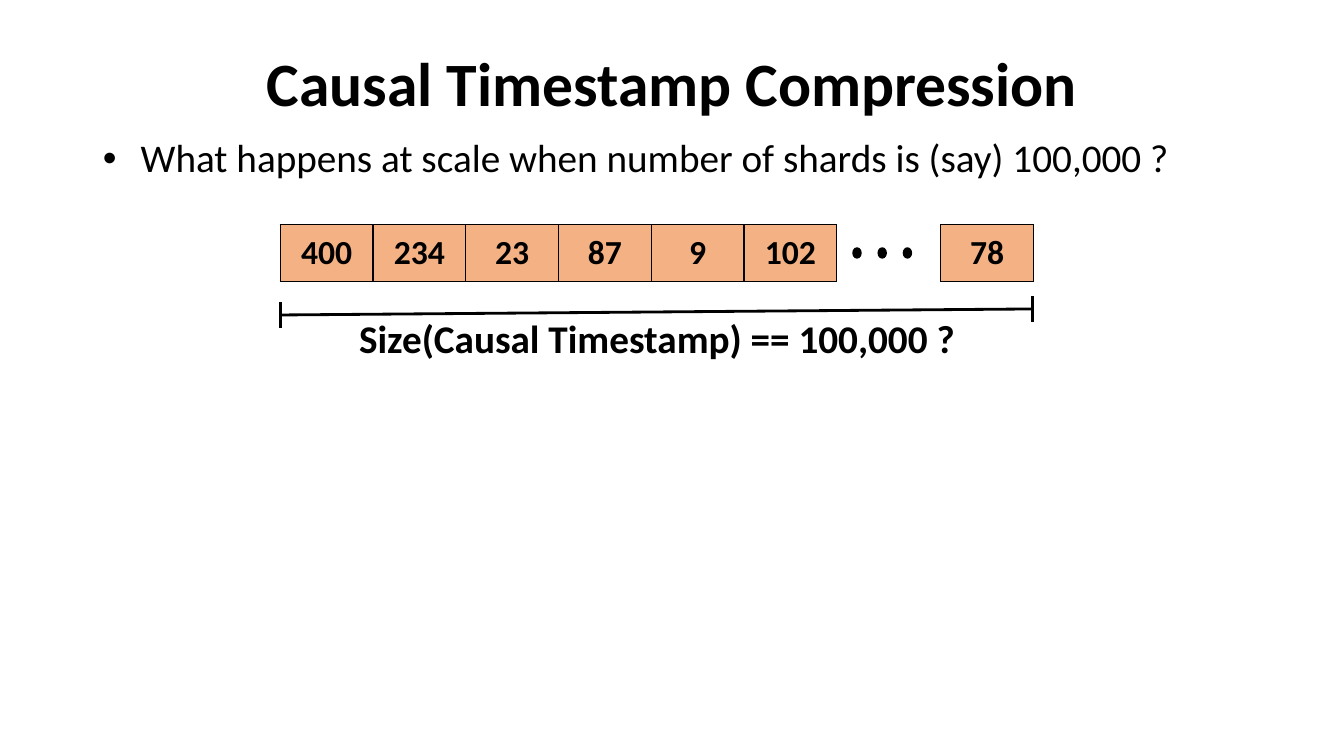
from lxml import etree
from pptx import Presentation
from pptx.dml.color import RGBColor
from pptx.enum.shapes import MSO_CONNECTOR as Link, MSO_SHAPE as Shape
from pptx.enum.text import MSO_ANCHOR as Anchor, MSO_AUTO_SIZE as Fit, PP_ALIGN as Align
from pptx.oxml import parse_xml
from pptx.oxml.ns import nsdecls, qn
from pptx.util import Inches, Pt

INK, PEACH = "000000", "F4B183"
CELL_W, CELL_H = 0.92, 0.56


def color(code):
    return RGBColor.from_string(code)


def place(item, left, top, width, height):
    item.left, item.top = Inches(left), Inches(top)
    item.width, item.height = Inches(width), Inches(height)


def write(frame, text, size, bold=True, align=Align.CENTER):
    frame.text = text
    para = frame.paragraphs[0]
    para.alignment = align
    font = para.font
    font.name, font.size, font.bold = "Calibri", Pt(size), bold
    font.color.rgb = color(INK)
    return para


def add_title(slide, text, box):
    title = slide.shapes.title
    place(title, *box)
    frame = title.text_frame
    frame.auto_size, frame.vertical_anchor = Fit.NONE, Anchor.MIDDLE
    write(frame, text, 44).line_spacing = 0.9


def add_point(slide, text, box):
    body = slide.placeholders[1]
    place(body, *box)
    frame = body.text_frame
    frame.auto_size, frame.vertical_anchor = Fit.NONE, Anchor.TOP
    frame.text = text
    props = frame.paragraphs[0]._p.get_or_add_pPr()
    props.set("marL", str(Inches(0.25)))
    props.set("indent", str(-Inches(0.25)))
    etree.SubElement(props, qn("a:buChar")).set("char", "•")
    para = write(frame, text, 28, False, Align.LEFT)
    para.line_spacing, para.space_before = 0.9, Pt(0)


def add_edges(cell):
    props = cell._tc.get_or_add_tcPr()
    for side in "LRTB":
        props.append(parse_xml(
            f'<a:ln{side} {nsdecls("a")} w="{Pt(1)}"><a:solidFill>'
            f'<a:srgbClr val="{INK}"/></a:solidFill></a:ln{side}>'))


def add_cells(slide, values, left, top):
    """Draw one row of equal, bordered cells."""
    count = len(values)
    table = slide.shapes.add_table(
        1, count, Inches(left), Inches(top),
        Inches(CELL_W * count), Inches(CELL_H)).table
    table.first_row = table.horz_banding = False
    for cell, value in zip(table.iter_cells(), values):
        add_edges(cell)
        cell.fill.solid()
        cell.fill.fore_color.rgb = color(PEACH)
        cell.vertical_anchor = Anchor.MIDDLE
        write(cell.text_frame, value, 24)


def add_dots(slide, left, top):
    group = slide.shapes.add_group_shape()
    for i in range(3):
        dot = group.shapes.add_shape(
            Shape.OVAL, Inches(left + 0.25 * i), Inches(top),
            Inches(0.08), Inches(0.1))
        dot.shadow.inherit = False
        dot.fill.solid()
        dot.fill.fore_color.rgb = dot.line.color.rgb = color(INK)
        dot.line.width = Pt(1)


def add_line(slide, *ends):
    line = slide.shapes.add_connector(Link.STRAIGHT, *map(Inches, ends))
    line.line.color.rgb = color(INK)
    line.line.width = Pt(2)
    etree.SubElement(line._element.spPr, qn("a:effectLst"))


def add_span(slide, text, left, top, width):
    """Draw a slightly rising measure with end ticks and a label below."""
    right, rise, tick = left + width, 0.06, 0.25
    mid = top + tick / 2
    add_line(slide, left, mid, right, mid - rise)
    for x, y in ((left, top), (right, top - rise)):
        add_line(slide, x, y, x, y + tick)
    label = slide.shapes.add_textbox(
        Inches(left + 0.29), Inches(top + 0.07), Inches(6.89), Inches(0.57))
    label.text_frame.word_wrap = True
    label.text_frame.auto_size = Fit.SHAPE_TO_FIT_TEXT
    write(label.text_frame, text, 28)


def add_stamp(slide, left, top):
    """Draw the timestamp vector and its measure."""
    add_cells(slide, ["400", "234", "23", "87", "9", "102"], left, top)
    add_dots(slide, left + 5.68, top + 0.23)
    add_cells(slide, ["78"], left + 6.55, top)
    add_span(slide, "Size(Causal Timestamp) == 100,000 ?", left, top + 0.77, 7.46)


def main():
    deck = Presentation()
    deck.slide_width, deck.slide_height = Inches(13.33), Inches(7.5)
    slide = deck.slides.add_slide(deck.slide_layouts[1])
    add_title(slide, "Causal Timestamp Compression", (0.92, 0.13, 11.5, 1.45))
    add_point(slide, "What happens at scale when number of shards is (say) 100,000 ?",
              (0.92, 1.33, 12.16, 0.69))
    add_stamp(slide, 2.78, 2.23)
    deck.save("out.pptx")


if __name__ == "__main__":
    main()
